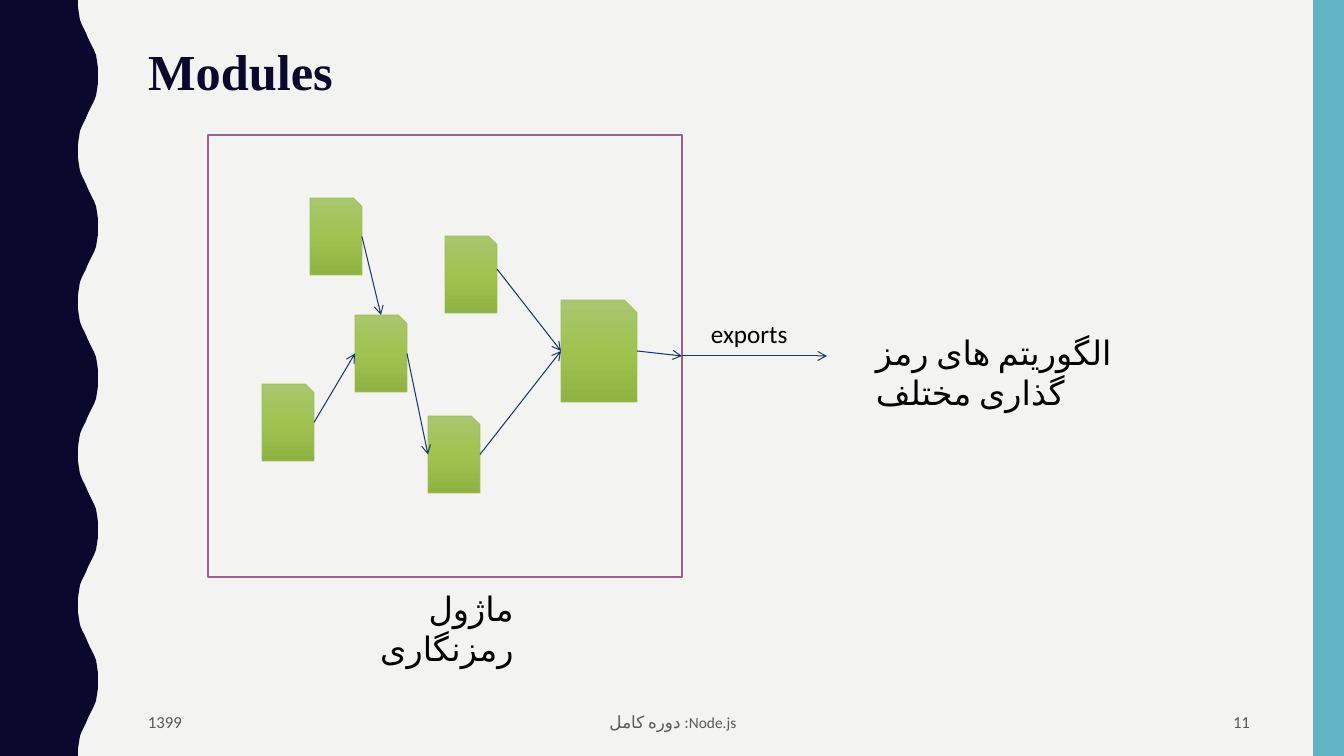
from copy import deepcopy

from pptx import Presentation
from pptx.dml.color import RGBColor
from pptx.enum.lang import MSO_LANGUAGE_ID as LANG
from pptx.enum.shapes import MSO_CONNECTOR, MSO_SHAPE
from pptx.enum.text import MSO_ANCHOR as ANCHOR, MSO_AUTO_SIZE as FIT, PP_ALIGN as ALIGN
from pptx.oxml.ns import qn
from pptx.oxml.xmlchemy import OxmlElement
from pptx.util import Pt

PX = 914400 / 100.8
WIDTH, HEIGHT = 1344, 756

PAPER = RGBColor(0xF3, 0xF3, 0xF2)
NAVY = RGBColor(0x0B, 0x08, 0x2E)
TEAL = RGBColor(0x62, 0xB4, 0xC6)
GREY = RGBColor(0x59, 0x59, 0x59)
BLACK = RGBColor(0, 0, 0)
PLUM = RGBColor(0x96, 0x64, 0x8A)
ARROW = RGBColor(0x1B, 0x37, 0x6E)
FILE_EDGE = RGBColor(0x9E, 0xBE, 0x55)
FILE_STOPS = [
    (0, RGBColor(0xA9, 0xC6, 0x6E)),
    (0.5, RGBColor(0xA0, 0xC3, 0x50)),
    (1, RGBColor(0x90, 0xB2, 0x42)),
]

# Edge of the side band: one half wave, mirrored to fill a period
HALF_WAVE = [(78, 0), (78, 7), (79, 14), (80, 20), (82, 25), (84, 29), (86, 33),
             (88, 38), (90, 42), (92, 46), (94, 50), (96, 55), (97, 61), (98, 68)]
WAVES = 5
PERIOD = HEIGHT / WAVES

MODULE = (208, 135, 474, 442)
SMALL = (52, 77)
FILES = {
    "main": (561, 300, 76, 102),
    "lower left": (262, 384, *SMALL),
    "upper left": (310, 198, *SMALL),
    "bottom": (428, 416, *SMALL),
    "upper right": (445, 236, *SMALL),
    "hub": (355, 315, *SMALL),
}
SIDES = {"top": (0.5, 0), "left": (0, 0.5), "right": (1, 0.5)}
EXPORT = (682, 356)
# An end is a (file, side) pair or a plain point
FLOWS = [
    (("upper left", "right"), ("hub", "top")),
    (("lower left", "right"), ("hub", "left")),
    ((497, 269), ("main", "left")),
    (("hub", "right"), ("bottom", "left")),
    (("bottom", "right"), ("main", "left")),
    (("main", "right"), EXPORT),
    (EXPORT, (827, 356)),
]

FOOTER = dict(size=12, color=GREY, anchor=ANCHOR.MIDDLE)
CAPTION = dict(size=24, fit=FIT.SHAPE_TO_FIT_TEXT)
TEXTS = [
    ((138, 703, 257, 38), ["1399"], FOOTER),
    ((446, 703, 454, 38), [("Node.js", 11), ": دوره کامل"],
     dict(FOOTER, align=ALIGN.CENTER, rtl=True)),
    ((950, 703, 310, 38), ["11"], dict(FOOTER, align=ALIGN.RIGHT)),
    ((701, 313, 126, 40), ["exports"], dict(CAPTION, size=18)),
    ((866, 327, 329, 50), ["الگوریتم های رمز گذاری مختلف"], CAPTION),
    ((356, 583, 218, 50), ["ماژول رمزنگاری"],
     dict(CAPTION, align=ALIGN.RIGHT, rtl=True, level=1, indent=50.4)),
]


def emu(*lengths):
    """Turn pixel lengths into a list of EMU."""
    return [round(length * PX) for length in lengths]


def write(box, pieces, size, color=BLACK, font="Calibri", bold=False, align=ALIGN.LEFT,
          rtl=False, level=0, indent=0, anchor=ANCHOR.TOP, fit=FIT.NONE, spacing=None):
    """Fill a box with one paragraph; a piece is text or (text, size)."""
    frame = box.text_frame
    frame.word_wrap, frame.auto_size, frame.vertical_anchor = True, fit, anchor
    para = frame.paragraphs[0]
    para.alignment, para.level, para.line_spacing = align, level, spacing
    props = para._p.get_or_add_pPr()
    if rtl:
        props.set("rtl", "1")
    if indent:
        props.set("marL", str(emu(indent)[0]))
        props.set("indent", "0")
    for piece in pieces:
        text, points = piece if isinstance(piece, tuple) else (piece, size)
        span = para.add_run()
        span.text = text
        span.font.size, span.font.name, span.font.bold = Pt(points), font, bold
        span.font.color.rgb = color
        if not text.isascii():
            span.font.language_id = LANG.FARSI
            script_font = OxmlElement("a:cs")
            script_font.set("typeface", font)
            span.font._element.append(script_font)


def add_box(kind, place, fill=None, line=None, weight=1):
    """Add a preset shape with a plain fill and outline, or none."""
    shape = page.shapes.add_shape(kind, *emu(*place))
    style(shape, fill, line, weight)
    return shape


def style(shape, fill=None, line=None, weight=1):
    """Set fill and outline and drop the shadow."""
    shape.shadow.inherit = False
    for paint, color in ((shape.fill, fill), (shape.line.fill, line)):
        if color is None:
            paint.background()
        else:
            paint.solid()
            paint.fore_color.rgb = color
    if line is not None:
        shape.line.width = Pt(weight)


def add_wave():
    """Draw the wavy band on the left."""
    mirrored = [(x, PERIOD - y) for x, y in reversed(HALF_WAVE[1:])]
    period = HALF_WAVE + [(98, PERIOD / 2)] + mirrored
    edge = [(x, y + wave * PERIOD) for wave in range(WAVES) for x, y in period]
    builder = page.shapes.build_freeform(0, 0, scale=PX)
    builder.add_line_segments(edge + [(78, HEIGHT), (0, HEIGHT)], close=True)
    style(builder.convert_to_shape(), NAVY)


def add_file(place):
    """Draw a file with a cut corner and a green gradient."""
    sheet = add_box(MSO_SHAPE.SNIP_1_RECTANGLE, place, line=FILE_EDGE, weight=0.5)
    sheet.fill.gradient()
    sheet.fill.gradient_angle = 270
    stops = sheet._element.spPr.find(".//" + qn("a:gsLst"))
    stops.append(deepcopy(stops[-1]))
    for stop, (position, color) in zip(sheet.fill.gradient_stops, FILE_STOPS):
        stop.position, stop.color.rgb = position, color


def locate(end):
    """Return the point of an arrow end."""
    if end[0] not in FILES:
        return end
    left, top, width, height = FILES[end[0]]
    across, down = SIDES[end[1]]
    return left + width * across, top + height * down


def add_arrow(start, finish):
    """Draw a thin arrow between two ends."""
    arrow = page.shapes.add_connector(
        MSO_CONNECTOR.STRAIGHT, *emu(*locate(start), *locate(finish)))
    arrow.line.color.rgb, arrow.line.width = ARROW, Pt(0.75)
    tail = OxmlElement("a:tailEnd")
    tail.set("type", "arrow")
    arrow.line._get_or_add_ln().append(tail)
    arrow._element.spPr.append(OxmlElement("a:effectLst"))


deck = Presentation()
deck.slide_width, deck.slide_height = emu(WIDTH, HEIGHT)
page = deck.slides.add_slide(deck.slide_layouts[5])
page.background.fill.solid()
page.background.fill.fore_color.rgb = PAPER

add_wave()
add_box(MSO_SHAPE.RECTANGLE, (1313, 0, 31, HEIGHT), TEAL)

title = page.shapes.title
title.left, title.top, title.width, title.height = emu(138, 42, 1122, 164)
write(title, ["Modules"], 36, NAVY, "Times New Roman", bold=True, rtl=True, spacing=0.9)

for place in FILES.values():
    add_file(place)
add_box(MSO_SHAPE.RECTANGLE, MODULE, line=PLUM)
for start, finish in FLOWS:
    add_arrow(start, finish)
for place, pieces, options in TEXTS:
    write(page.shapes.add_textbox(*emu(*place)), pieces, **options)

deck.save("out.pptx")
